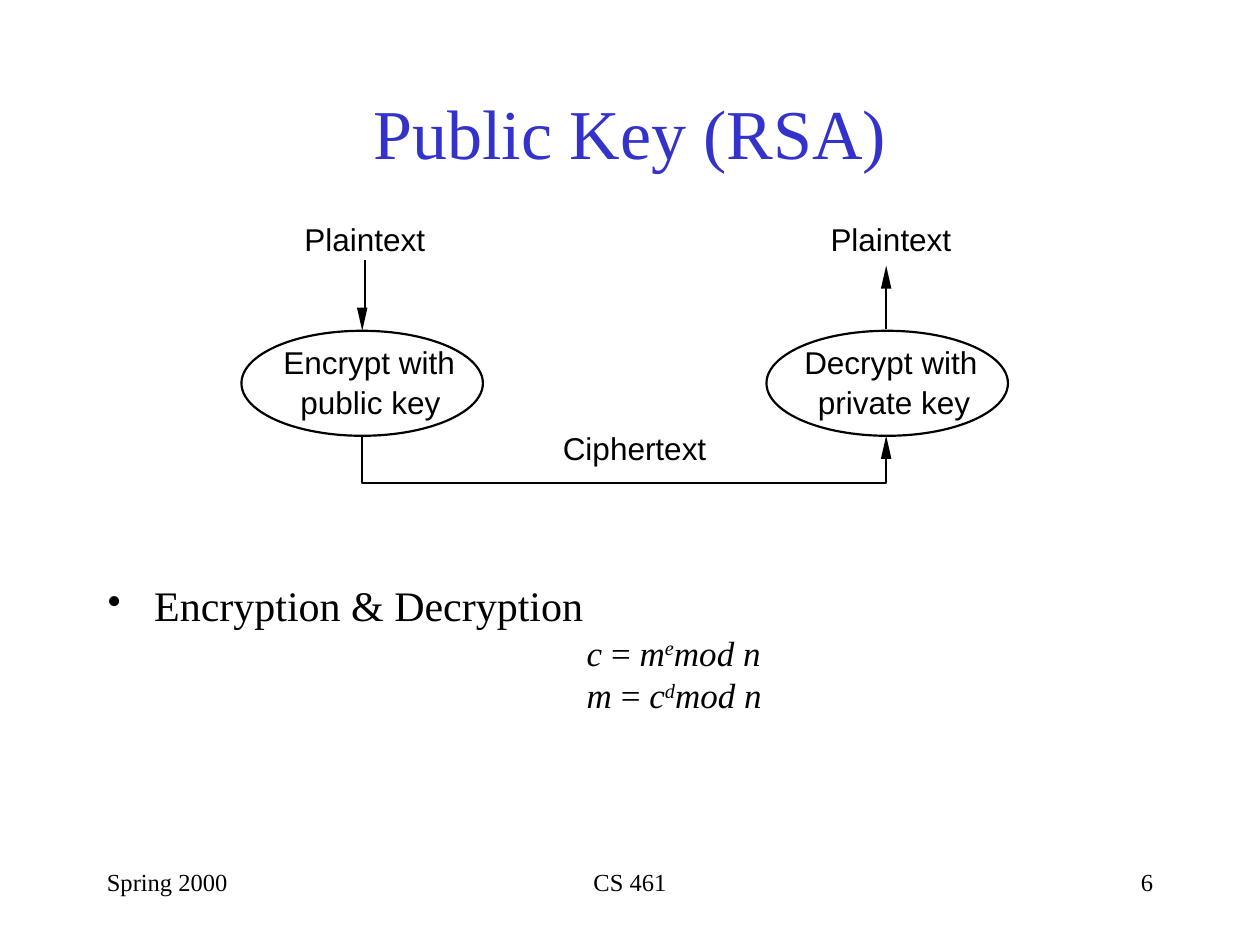
import pptx
import pptx.dml.color
import pptx.enum.shapes
import pptx.enum.text
import pptx.util
from pptx.oxml.ns import qn

# The slide is a grid of 120 columns by 90 rows, twelve cells to the inch.
COLS, ROWS = 120, 90
CELL = pptx.util.Inches(1) // 12
SERIF, SANS = "Times New Roman", "Arial"
INK, BLUE = "000000", "3333CC"
STROKE = 1.25
ALIGN = pptx.enum.text.PP_ALIGN
ANCHOR = pptx.enum.text.MSO_ANCHOR


def grid(*cells):
    return [round(n * CELL) for n in cells]


def paint(part, color):
    """Fill a shape, or set the colour of a font, from a hex string."""
    fill = part.fill
    fill.solid()
    fill.fore_color.rgb = pptx.dml.color.RGBColor.from_string(color)


def draw(line):
    paint(line, INK)
    line.width = pptx.util.Pt(STROKE)


def write(para, text, size=18, font=SANS, color=INK, italic=False, rise=0):
    """Add one run; rise is the superscript height in percent."""
    run = para.add_run()
    run.text = text
    run.font.size = pptx.util.Pt(size)
    run.font.name = font
    run.font.italic = italic
    paint(run.font, color)
    if rise:
        run._r.get_or_add_rPr().set("baseline", str(rise * 1000))


def frame(slide, place, pad=True, wrap=True, anchor=ANCHOR.TOP):
    body = slide.shapes.add_textbox(*grid(*place)).text_frame
    body.word_wrap = wrap
    body.vertical_anchor = anchor
    if not pad:
        body.margin_left = body.margin_right = 0
        body.margin_top = body.margin_bottom = 0
    return body


def text(slide, words, place, align=ALIGN.LEFT, pad=True, wrap=True,
         anchor=ANCHOR.TOP, **style):
    para = frame(slide, place, pad, wrap, anchor).paragraphs[0]
    para.alignment = align
    write(para, words, **style)


def label(slide, words, left, top, width):
    text(slide, words, (left, top, width, 3.6), pad=False, wrap=False)


def oval(slide, left, top):
    kind = pptx.enum.shapes.MSO_SHAPE.OVAL
    shape = slide.shapes.add_shape(kind, *grid(left, top, 23, 10))
    shape.shadow.inherit = False
    shape.fill.background()
    draw(shape.line)


def line(slide, *ends):
    kind = pptx.enum.shapes.MSO_CONNECTOR.STRAIGHT
    link = slide.shapes.add_connector(kind, *grid(*ends))
    props = link._element.spPr
    draw(link.line)
    props.append(props.makeelement(qn("a:effectLst"), {}))


def outline(slide, points, close):
    first, *rest = [grid(*point) for point in points]
    pen = slide.shapes.build_freeform(*first)
    pen.add_line_segments(rest, close=close)
    shape = pen.convert_to_shape()
    shape.shadow.inherit = False
    return shape


def route(slide, points):
    shape = outline(slide, points, False)
    shape.fill.background()
    draw(shape.line)


def tip(slide, x, y, way):
    """Arrowhead with its point at x, y; way is 1 for down and -1 for up."""
    back = y - 2.2 * way
    shape = outline(slide, [(x, y), (x + 0.5, back), (x - 0.5, back)], True)
    paint(shape, INK)
    shape.line.fill.background()


def indent(para, left, first=0, bullet=None):
    props = para._p.get_or_add_pPr()
    props.set("marL", str(grid(left)[0]))
    props.set("indent", str(grid(first)[0]))
    if bullet:
        props.append(props.makeelement(qn("a:buFont"), {"typeface": SERIF}))
        props.append(props.makeelement(qn("a:buChar"), {"char": bullet}))


def maths(slide):
    body = frame(slide, (9, 55, 102, 20))
    head = body.paragraphs[0]
    indent(head, 4.5, -4.5, "•")
    head.line_spacing = 0.8
    write(head, "Encryption & Decryption", size=24, font=SERIF)
    write(head, " ", size=28, font=SERIF)
    for name, base, power in (("c", "m", "e"), ("m", "c", "d")):
        para = body.add_paragraph()
        indent(para, 45.7)
        para.line_spacing = 0.8
        para.space_before = pptx.util.Pt(5)
        parts = ((name + " ", True, 0), ("= ", False, 0), (base, True, 0),
                 (power, True, 30), ("mod n", True, 0))
        for words, italic, rise in parts:
            write(para, words, size=20, font=SERIF, italic=italic, rise=rise)


def diagram(slide):
    send, get = 34.5, 84.4
    for words, left, top, width in (
            ("Plaintext", 29, 21, 13), ("Plaintext", 79.1, 21, 13),
            ("Encrypt with", 27, 32.7, 18), ("public key", 28.6, 36.5, 15),
            ("Decrypt with", 76.6, 32.7, 18), ("private key", 77.9, 36.5, 16),
            ("Ciphertext", 53.6, 40.9, 15)):
        label(slide, words, left, top, width)
    for left in (23, 73):
        oval(slide, left, 31.5)
    line(slide, send + 0.3, 24.8, send + 0.3, 29.8)
    line(slide, get, 31.3, get, 27)
    route(slide, [(send, 41.5), (send, 46), (get, 46), (get, 43.7)])
    tip(slide, send, 31.5, 1)
    tip(slide, get, 25.3, -1)
    tip(slide, get, 41.5, -1)


def footer(slide):
    for words, left, width, align in (
            ("Spring 2000", 9, 25, ALIGN.LEFT),
            ("CS 461", 41, 38, ALIGN.CENTER),
            ("6", 86, 25, ALIGN.RIGHT)):
        text(slide, words, (left, 82, width, 6), align=align, size=14, font=SERIF)


def main():
    deck = pptx.Presentation()
    deck.slide_width, deck.slide_height = grid(COLS, ROWS)
    slide = deck.slides.add_slide(deck.slide_layouts[6])
    text(slide, "Public Key (RSA)", (9, 8, 102, 9), align=ALIGN.CENTER,
         anchor=ANCHOR.MIDDLE, size=40, font=SERIF, color=BLUE)
    maths(slide)
    diagram(slide)
    footer(slide)
    deck.save("out.pptx")


if __name__ == "__main__":
    main()
